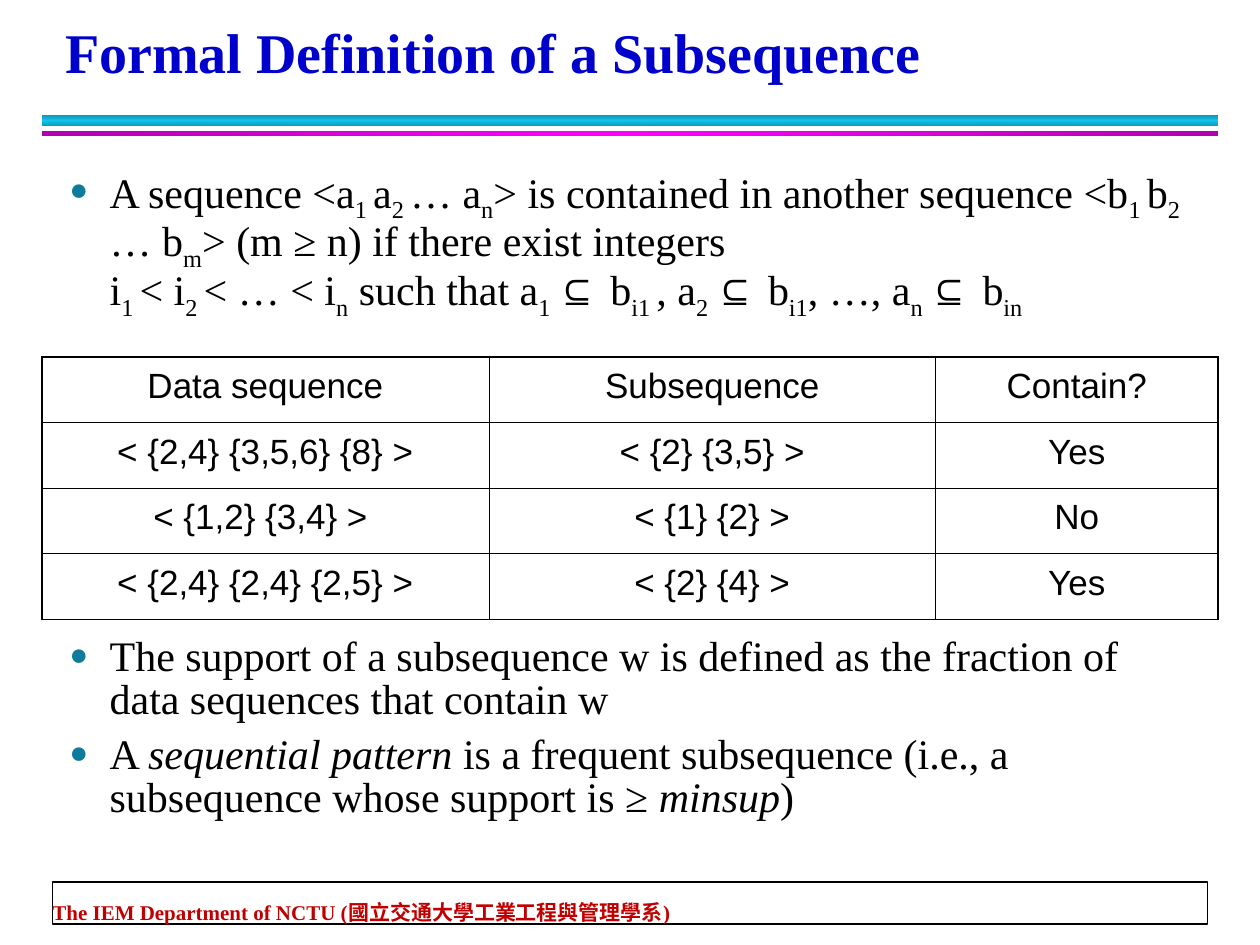
from dataclasses import dataclass
from pptx import Presentation
from pptx.dml.color import RGBColor
from pptx.enum.shapes import MSO_SHAPE
from pptx.enum.text import MSO_ANCHOR, MSO_AUTO_SIZE, PP_ALIGN
from pptx.oxml import parse_xml
from pptx.oxml.ns import nsdecls
from pptx.util import Inches, Pt


@dataclass(frozen=True)
class Theme:
    serif: str = "Times New Roman"
    sans: str = "Arial"
    ink: str = "000000"
    paper: str = "FFFFFF"
    title: str = "0000CC"
    foot: str = "C00000"
    dot: str = "0C7B9C"
    teal: tuple = ("0E9BBA", "12C2E9", "0E9BBA")
    pink: tuple = ("B200B2", "FF00FF", "B200B2")
    head: int = 32
    body: int = 24
    cell: int = 20
    note: int = 12


T = Theme()
COLS, ROWS = 120, 90  # slide grid
UNIT = Inches(10) / COLS

# Text marks: "_" subscript, "*" italic, "@" sans symbol
ITEMS = [
    "A sequence <a|_1 |a|_2 |… a|_n|> is contained in another sequence <b|_1 |b|_2 "
    "|… b|_m|> (m ≥ n) if there exist integers \n|i|_1 |< i|_2 |< … < i|_n| such that a"
    "|_1 |@⊆ |b|_i1 |, a|_2 |@⊆ |b|_i1|, …, a|_n |@⊆ |b|_in",
    "The support of a subsequence w is defined as the fraction of "
    "data sequences that contain w",
    "A |*sequential pattern| is a frequent subsequence (i.e., a subsequence "
    "whose support is ≥ |*minsup|)",
]
GRID = [
    ("Data sequence", "Subsequence", "Contain?"),
    ("< {2,4} {3,5,6} {8} >", "< {2} {3,5} >", "Yes"),
    ("< {1,2} {3,4} > ", "< {1} {2} >", "No"),
    ("< {2,4} {2,4} {2,5} >", "< {2} {4} >", "Yes"),
]


def size(n):
    return round(n * UNIT)


def apply(obj, form):
    for key, val in form.items():
        setattr(obj, key, val)


def style(font, color, **form):
    apply(font, form)
    font.color.rgb = RGBColor.from_string(color)


def place(shape, box):
    apply(shape, dict(zip(("left", "top", "width", "height"), map(size, box))))


def rect(slide, box):
    shape = slide.shapes.add_shape(MSO_SHAPE.RECTANGLE, *map(size, box))
    shape.shadow.inherit = False
    return shape


def bar(slide, box, hues, angle):
    shape = rect(slide, box)
    shape.line.fill.background()
    shape.fill.gradient()
    shape.fill.gradient_angle = angle
    stops = shape.element.spPr.find(".//{*}gsLst")
    for stop in list(stops):
        stops.remove(stop)
    for i, hue in enumerate(hues):
        stops.append(parse_xml(
            f'<a:gs {nsdecls("a")} pos="{i * 50000}"><a:srgbClr val="{hue}"/></a:gs>'))


def rules(slide, box):
    x, y, w, h = box
    bar(slide, (x, y, w, h / 2), T.teal, 90)
    bar(slide, (x, y + h * 0.75, w, h / 4), T.pink, 0)


def footer(slide, box):
    x, y, w, h = box
    frame = rect(slide, box)
    frame.fill.solid()
    frame.fill.fore_color.rgb = RGBColor.from_string(T.paper)
    frame.line.color.rgb = RGBColor.from_string(T.ink)
    frame.line.width = Pt(1)
    text = slide.shapes.add_textbox(*map(size, (x, y + 0.7, w, h - 0.6))).text_frame
    apply(text, dict(margin_left=0, margin_right=0, margin_top=0, margin_bottom=0,
                     word_wrap=True, vertical_anchor=MSO_ANCHOR.BOTTOM))
    para = text.paragraphs[0]
    para.line_spacing = Pt(20)
    run = para.add_run()
    run.text = "The IEM Department of NCTU (國立交通大學工業工程與管理學系)"
    style(run.font, T.foot, name=T.serif, size=Pt(T.note), bold=True)


def title(slide, box):
    shape = slide.shapes.title
    place(shape, box)
    text = shape.text_frame
    apply(text, dict(vertical_anchor=MSO_ANCHOR.BOTTOM, auto_size=MSO_AUTO_SIZE.NONE,
                     word_wrap=True))
    text.text = "Formal Definition of a Subsequence"
    para = text.paragraphs[0]
    apply(para, dict(alignment=PP_ALIGN.LEFT, line_spacing=Pt(36)))
    style(para.runs[0].font, T.title, name=T.serif, size=Pt(T.head), bold=True)


def bullet(para):
    props = para._p.get_or_add_pPr()
    props.set("marL", str(Inches(0.32)))
    props.set("indent", str(-Inches(0.32)))
    for tag in (f'<a:buClr {nsdecls("a")}><a:srgbClr val="{T.dot}"/></a:buClr>',
                f'<a:buSzPct {nsdecls("a")} val="75000"/>',
                f'<a:buFont {nsdecls("a")} typeface="{T.sans}"/>',
                f'<a:buChar {nsdecls("a")} char="●"/>'):
        props.append(parse_xml(tag))


def write(para, text):
    for part in text.split("|"):
        mark = part[0] if part[0] in "_*@" else ""
        run = para.add_run()
        run.text = part[len(mark):].rstrip("\n")
        style(run.font, T.ink, size=Pt(T.body), name=T.sans if mark == "@" else T.serif)
        if mark == "*":
            run.font.italic = True
        if mark == "_":
            run._r.get_or_add_rPr().set("baseline", "-25000")
        if part.endswith("\n"):
            para.add_line_break()


def body(slide, box):
    shape = slide.placeholders[1]
    place(shape, box)
    text = shape.text_frame
    apply(text, dict(auto_size=MSO_AUTO_SIZE.NONE, word_wrap=True))
    gaps = (0, 180, 3)  # the second item starts below the table
    for i, (item, gap) in enumerate(zip(ITEMS, gaps)):
        para = text.add_paragraph() if i else text.paragraphs[0]
        apply(para, dict(line_spacing=0.85, space_before=Pt(gap), space_after=Pt(4)))
        bullet(para)
        write(para, item)


def border(cell, sides):
    props = cell._tc.get_or_add_tcPr()
    for i, (side, outer) in enumerate(sides.items()):
        wide = Pt(1.08 if outer else 0.45)
        props.insert(i, parse_xml(
            f'<a:ln{side} {nsdecls("a")} w="{wide}"><a:solidFill>'
            f'<a:srgbClr val="{T.ink}"/></a:solidFill></a:ln{side}>'))


def table(slide, box):
    rows, cols = len(GRID), len(GRID[0])
    grid = slide.shapes.add_table(rows, cols, *map(size, box)).table
    apply(grid, dict(first_row=False, horz_banding=False))
    for col, share in zip(grid.columns, (0.38, 0.38, 0.24)):
        col.width = size(box[2] * share)
    for r, line in enumerate(GRID):
        for c, words in enumerate(line):
            cell = grid.cell(r, c)
            cell.fill.background()
            cell.margin_top = Inches(0.08)
            border(cell, dict(L=c == 0, R=c == cols - 1, T=r == 0, B=r == rows - 1))
            para = cell.text_frame.paragraphs[0]
            apply(para, dict(alignment=PP_ALIGN.CENTER, space_after=Pt(4)))
            run = para.add_run()
            run.text = words
            style(run.font, T.ink, name=T.sans, size=Pt(T.cell))


def main():
    deck = Presentation()
    apply(deck, dict(slide_width=size(COLS), slide_height=size(ROWS)))
    slide = deck.slides.add_slide(deck.slide_layouts[1])
    rules(slide, (4, 11, 112, 2))
    footer(slide, (5, 84, 110, 4))
    title(slide, (5, 1.7, 108.7, 7))
    body(slide, (5.4, 15.5, 109.2, 68))
    table(slide, (4, 34, 112, 25))
    deck.save("out.pptx")


if __name__ == "__main__":
    main()
